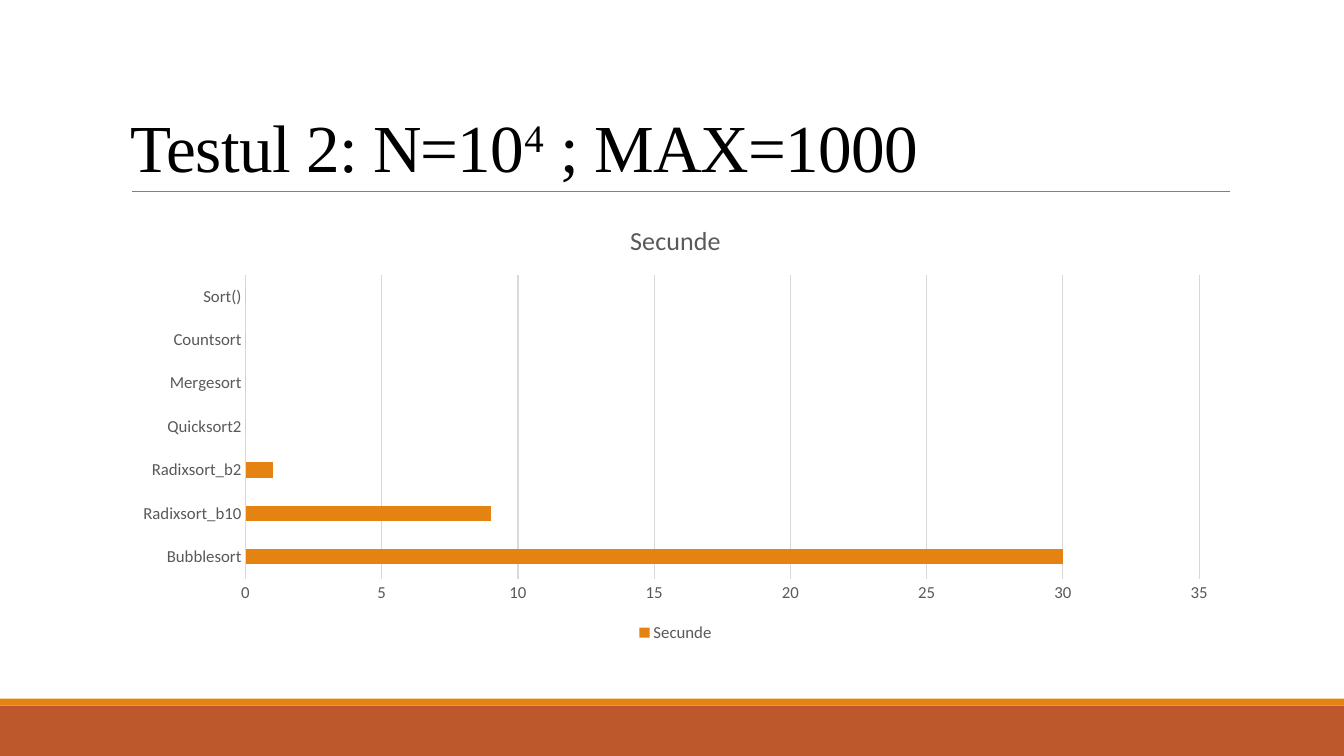
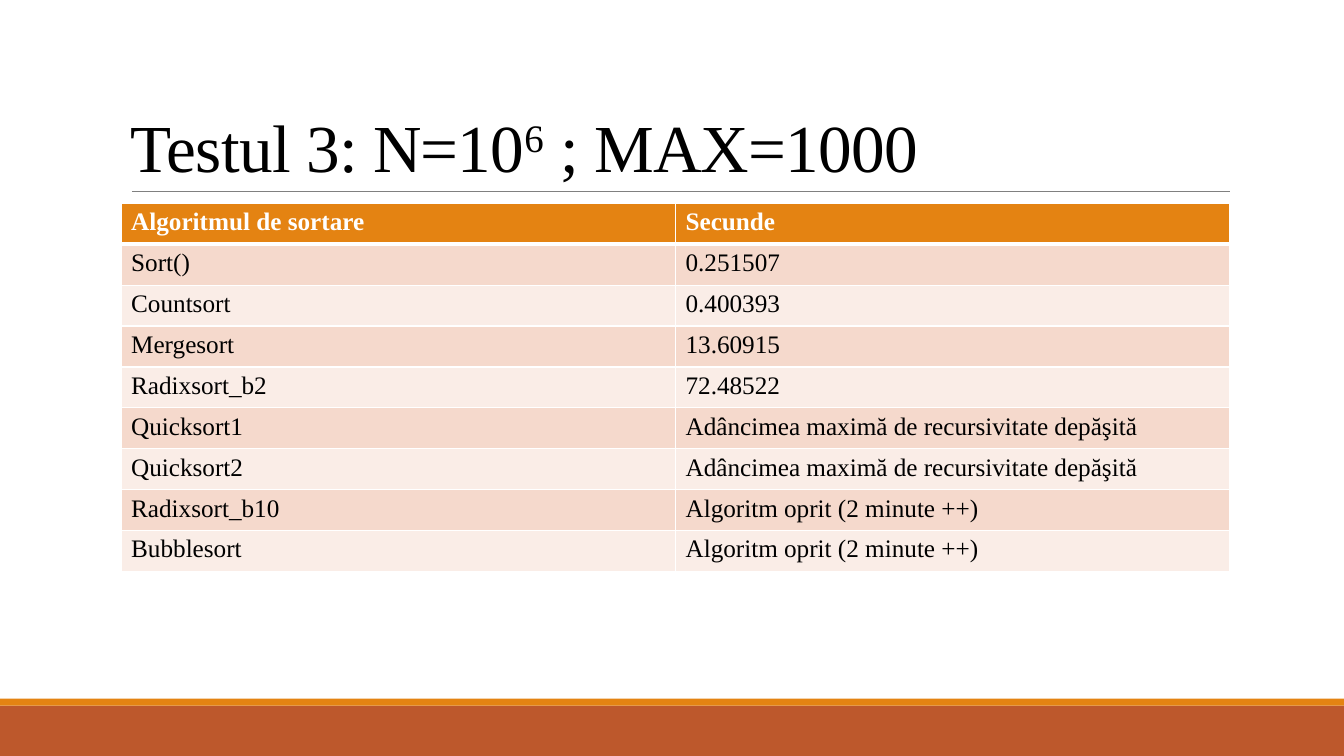
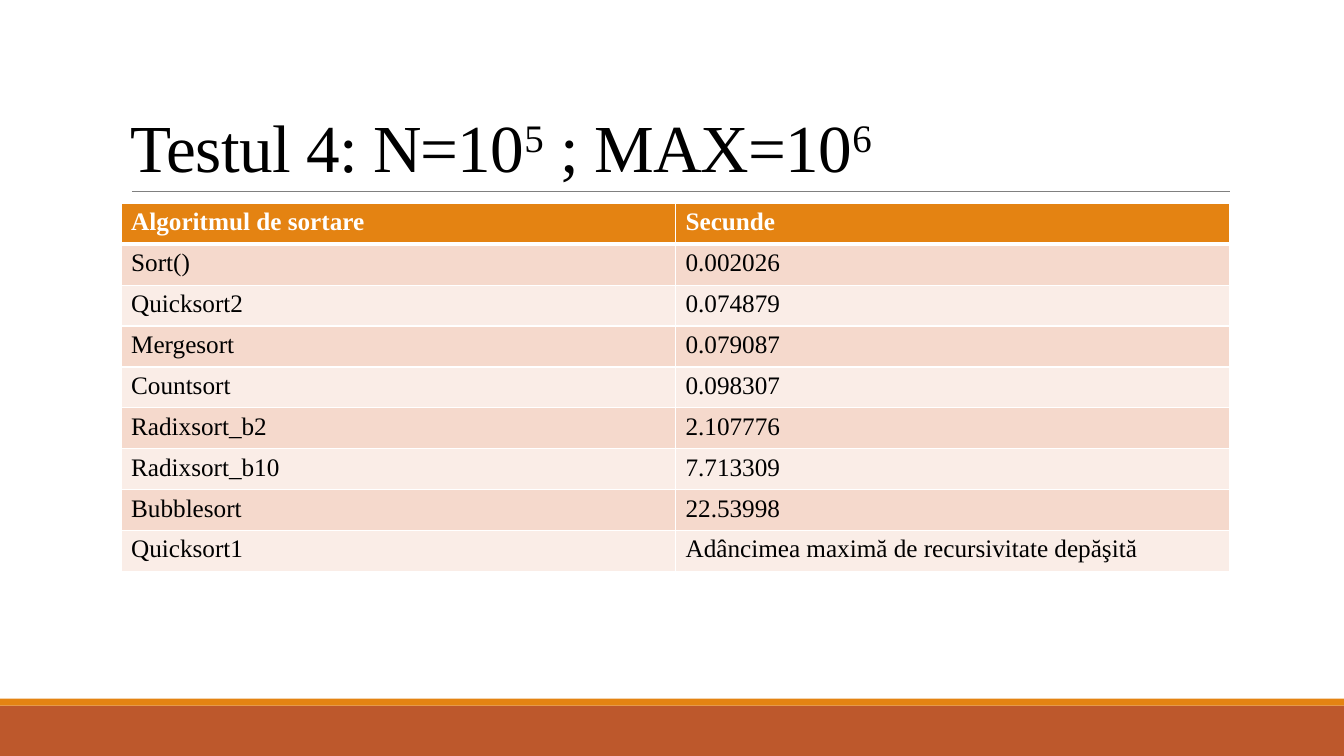
import pptx
import pptx.util
import pptx.dml.color
import pptx.chart.data
import pptx.enum.chart
import pptx.enum.shapes
import pptx.enum.text
import pptx.oxml
import pptx.oxml.ns

Pt = pptx.util.Pt
RGBColor = pptx.dml.color.RGBColor

ORANGE = RGBColor(0xE4, 0x83, 0x12)
RUST = RGBColor(0xBD, 0x58, 0x2C)
DARK = RGBColor(0xF5, 0xD9, 0xCC)
PALE = RGBColor(0xFA, 0xED, 0xE7)
WHITE = RGBColor(0xFF, 0xFF, 0xFF)
BLACK = RGBColor(0, 0, 0)
GRAY = RGBColor(0x80, 0x80, 0x80)
TEXT = RGBColor(0x59, 0x59, 0x59)
GRID = RGBColor(0xD9, 0xD9, 0xD9)
SERIF = "Times New Roman"
SANS = "Calibri"

WIDTH, HEIGHT = 960, 540
LEFT, TOP, SPAN = 86.5, 145.3, 792
ROW = 29.2
BANDS = [(504, 36, RUST), (499, 5, ORANGE)]

UNIT = "Secunde"
HEAD = ("Algoritmul de sortare", UNIT)
DEEP = "Adâncimea maximă de recursivitate depăşită"
STOP = "Algoritm oprit (2 minute ++)"

TIMES = [
    ("Bubblesort", 30),
    ("Radixsort_b10", 9),
    ("Radixsort_b2", 1),
    ("Quicksort2", 0),
    ("Mergesort", 0),
    ("Countsort", 0),
    ("Sort()", 0),
]
TEST_3 = [
    ("Sort()", "0.251507"),
    ("Countsort", "0.400393"),
    ("Mergesort", "13.60915"),
    ("Radixsort_b2", "72.48522"),
    ("Quicksort1", DEEP),
    ("Quicksort2", DEEP),
    ("Radixsort_b10", STOP),
    ("Bubblesort", STOP),
]
TEST_4 = [
    ("Sort()", "0.002026"),
    ("Quicksort2", "0.074879"),
    ("Mergesort", "0.079087"),
    ("Countsort", "0.098307"),
    ("Radixsort_b2", "2.107776"),
    ("Radixsort_b10", "7.713309"),
    ("Bubblesort", "22.53998"),
    ("Quicksort1", DEEP),
]


def set_font(font, name, size, color, bold=False):
    font.name = name
    font.size = Pt(size)
    font.bold = bold
    font.color.rgb = color


def add_title(slide, parts):
    box = slide.shapes.add_textbox(Pt(LEFT), Pt(22.5), Pt(SPAN), Pt(114.3))
    frame = box.text_frame
    frame.word_wrap = True
    frame.vertical_anchor = pptx.enum.text.MSO_ANCHOR.BOTTOM
    para = frame.paragraphs[0]
    para.line_spacing = 0.85
    set_font(para.font, SERIF, 48, BLACK)
    for i, part in enumerate(parts):
        run = para.add_run()
        run.text = part
        props = run.font._element
        props.set("spc", "-50")
        if i % 2:
            props.set("baseline", "30000")


def add_frame(deck, parts):
    slide = deck.slides.add_slide(deck.slide_layouts[6])
    for top, height, color in BANDS:
        band = slide.shapes.add_shape(
            pptx.enum.shapes.MSO_SHAPE.RECTANGLE,
            Pt(0), Pt(top), Pt(WIDTH), Pt(height))
        band.shadow.inherit = False
        band.fill.solid()
        band.fill.fore_color.rgb = color
        band.line.fill.background()
    rule = slide.shapes.add_connector(
        pptx.enum.shapes.MSO_CONNECTOR.STRAIGHT,
        Pt(94.3), Pt(136.8), Pt(878.8), Pt(136.8))
    rule.line.color.rgb = GRAY
    rule.line.width = Pt(0.5)
    rule._element.spPr.append(pptx.oxml.parse_xml(
        f"<a:effectLst {pptx.oxml.ns.nsdecls('a')}/>"))
    add_title(slide, parts)
    return slide


def add_bars(slide, rows):
    data = pptx.chart.data.CategoryChartData()
    data.categories = [name for name, _ in rows]
    data.add_series(UNIT, [value for _, value in rows])
    chart = slide.shapes.add_chart(
        pptx.enum.chart.XL_CHART_TYPE.BAR_CLUSTERED,
        Pt(LEFT), Pt(TOP), Pt(SPAN), Pt(316.6), data).chart
    set_font(chart.font, SANS, 12, TEXT)
    chart.has_title = True
    title = chart.chart_title.text_frame
    title.text = UNIT
    set_font(title.paragraphs[0].font, SANS, 18.6, TEXT)
    chart.has_legend = True
    chart.legend.position = pptx.enum.chart.XL_LEGEND_POSITION.BOTTOM
    chart.legend.include_in_layout = False
    set_font(chart.legend.font, SANS, 12, TEXT)

    plot = chart.plots[0]
    plot.gap_width = 182
    plot.vary_by_categories = False
    fill = plot.series[0].format.fill
    fill.solid()
    fill.fore_color.rgb = ORANGE

    names, scale = chart.category_axis, chart.value_axis
    for axis in (names, scale):
        axis.major_tick_mark = pptx.enum.chart.XL_TICK_MARK.NONE
        axis.minor_tick_mark = pptx.enum.chart.XL_TICK_MARK.NONE
        set_font(axis.tick_labels.font, SANS, 12, TEXT)
    scale.minimum_scale, scale.maximum_scale, scale.major_unit = 0, 35, 5
    scale.has_major_gridlines = True
    scale.format.line.fill.background()
    for line in (names.format.line, scale.major_gridlines.format.line):
        line.color.rgb = GRID
        line.width = Pt(0.75)


def add_edges(cell, top, bottom):
    props = cell._tc.get_or_add_tcPr()
    edges = [("L", 1), ("R", 1), ("T", top), ("B", bottom)]
    for i, (side, width) in enumerate(edges):
        props.insert(i, pptx.oxml.parse_xml(
            f"<a:ln{side} {pptx.oxml.ns.nsdecls('a')} w='{Pt(width)}'>"
            f"<a:solidFill><a:srgbClr val='{WHITE}'/></a:solidFill>"
            f"</a:ln{side}>"))


def add_grid(slide, rows):
    rows = [HEAD] + rows
    table = slide.shapes.add_table(
        len(rows), len(HEAD), Pt(LEFT), Pt(TOP),
        Pt(SPAN), Pt(ROW * len(rows))).table
    for r, row in enumerate(rows):
        table.rows[r].height = Pt(ROW)
        head = r == 0
        for c, text in enumerate(row):
            cell = table.cell(r, c)
            cell.text = text
            set_font(cell.text_frame.paragraphs[0].font, SERIF, 18,
                     WHITE if head else BLACK, head)
            cell.fill.solid()
            cell.fill.fore_color.rgb = (
                ORANGE if head else DARK if r % 2 else PALE)
            add_edges(cell, 3 if r == 1 else 1, 3 if head else 1)


SLIDES = [
    (("Testul 2: N=10", "4", " ; MAX=1000"), add_bars, TIMES),
    (("Testul 3: N=10", "6", " ; MAX=1000"), add_grid, TEST_3),
    (("Testul 4: N=10", "5", " ; MAX=10", "6"), add_grid, TEST_4),
]


def main():
    deck = pptx.Presentation()
    deck.slide_width, deck.slide_height = Pt(WIDTH), Pt(HEIGHT)
    for parts, draw, rows in SLIDES:
        draw(add_frame(deck, parts), rows)
    deck.save("out.pptx")


if __name__ == "__main__":
    main()
